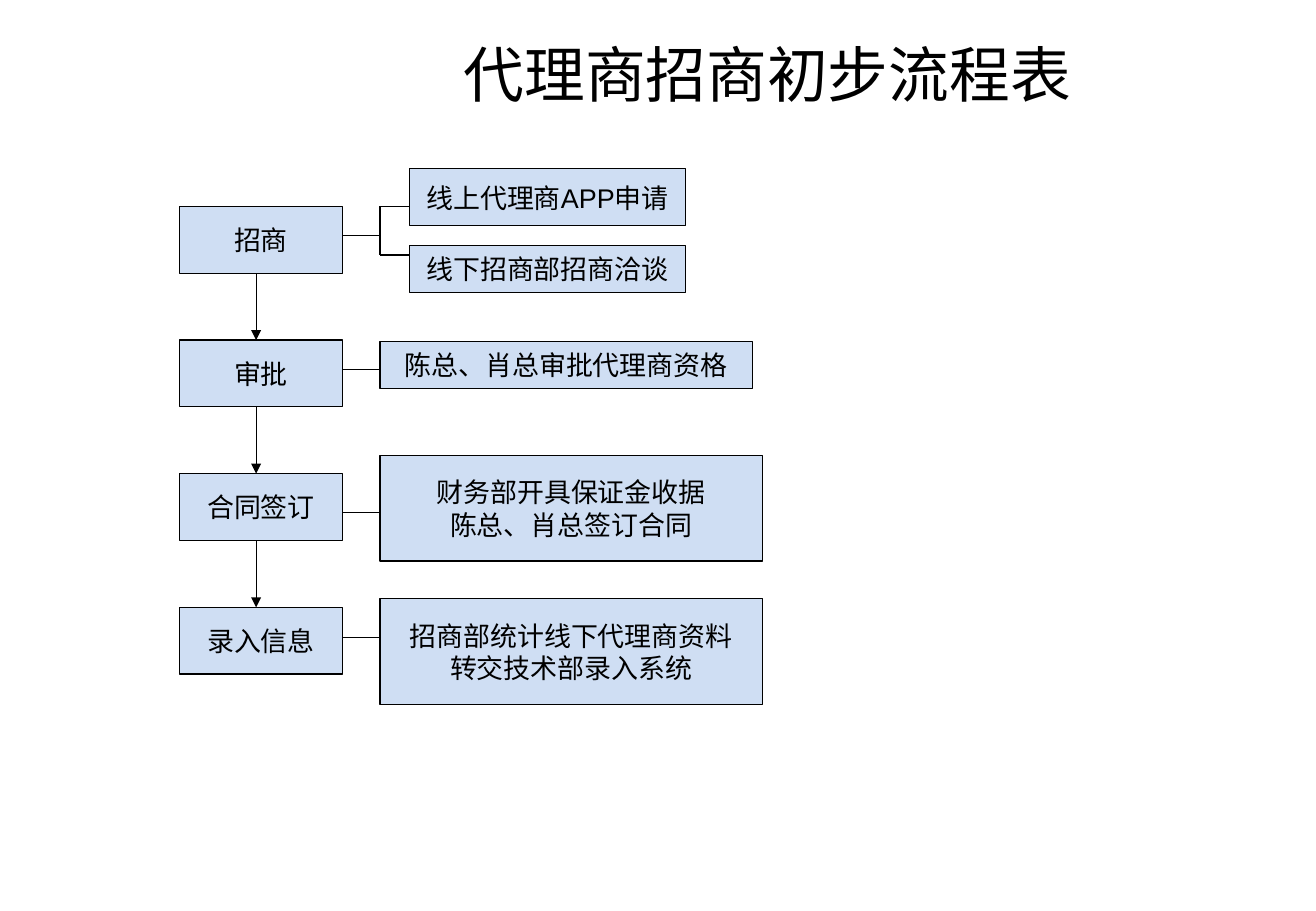
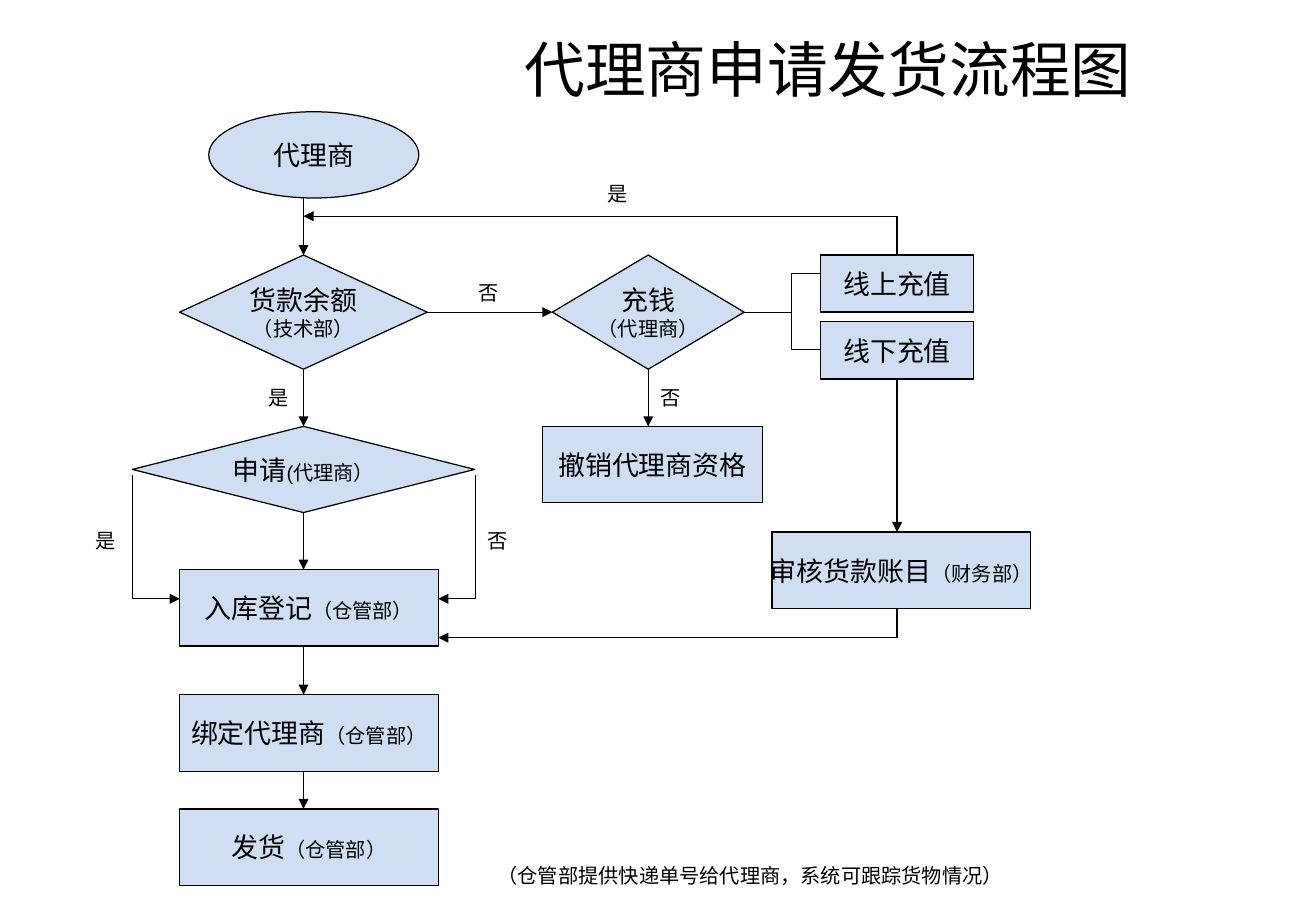
from lxml.etree import SubElement
from pptx import Presentation
from pptx.dml.color import RGBColor
from pptx.enum.shapes import MSO_CONNECTOR as CONNECTOR, MSO_SHAPE as SHAPE
from pptx.enum.text import MSO_ANCHOR as ANCHOR, MSO_AUTO_SIZE as FIT, PP_ALIGN as ALIGN
from pptx.oxml.ns import qn
from pptx.util import Inches, Pt

BLACK, PALE_BLUE = "000000", "CFDEF3"
FONT = "Arial"
TITLE, MAIN, NOTE = 36, 16, 12
TOP, LEFT, BOTTOM, RIGHT = range(4)
FRAME = {"margin_left": Inches(0.1), "margin_right": Inches(0.1),
         "margin_top": Inches(0.05), "margin_bottom": Inches(0.05)}
TITLE_FRAME = {**FRAME, "vertical_anchor": ANCHOR.MIDDLE, "word_wrap": True, "auto_size": FIT.NONE}
NODE_FRAME = {**FRAME, "vertical_anchor": ANCHOR.MIDDLE, "word_wrap": False}
LABEL_FRAME = {**FRAME, "vertical_anchor": ANCHOR.TOP, "word_wrap": True,
               "auto_size": FIT.SHAPE_TO_FIT_TEXT}


def paint(color_format, color):
    """Set a colour from a hex string."""
    color_format.rgb = RGBColor.from_string(color)


def apply(target, values):
    """Set each attribute named in a dict of format values."""
    for name, value in values.items():
        setattr(target, name, value)


def write(shape, paragraphs, frame_values, align):
    """Write paragraphs, each a list of (text, size) runs."""
    frame = shape.text_frame
    apply(frame, frame_values)
    for index, runs in enumerate(paragraphs):
        paragraph = frame.paragraphs[0] if index == 0 else frame.add_paragraph()
        paragraph.alignment = align
        for text, size in runs:
            run = paragraph.add_run()
            run.text = text
            apply(run.font, {"name": FONT, "size": Pt(size), "bold": False})
            paint(run.font.color, BLACK)


def add_titled_slide(presentation, text, top, height, indent):
    """Add a slide whose title is centred to the right of an indent."""
    slide = presentation.slides.add_slide(presentation.slide_layouts[5])
    title = slide.shapes.title
    apply(title, {"left": Inches(0.54), "top": Inches(top),
                  "width": Inches(9.75), "height": Inches(height)})
    write(title, [[(text, TITLE)]], {**TITLE_FRAME, "margin_left": Inches(indent)}, ALIGN.CENTER)
    return slide


def add_node(slide, box, *paragraphs, kind=SHAPE.RECTANGLE):
    """Add a flowchart node with centred text."""
    shape = slide.shapes.add_shape(kind, *map(Inches, box))
    shape.shadow.inherit = False
    shape.fill.solid()
    paint(shape.fill.fore_color, PALE_BLUE)
    paint(shape.line.color, BLACK)
    shape.line.width = Pt(0.75)
    write(shape, paragraphs, NODE_FRAME, ALIGN.CENTER)
    return shape


def add_label(slide, text, left, top, width):
    """Add a small free-standing label."""
    label = slide.shapes.add_textbox(*map(Inches, (left, top, width, 0.3)))
    write(label, [[(text, NOTE)]], LABEL_FRAME, ALIGN.LEFT)


def add_route(slide, *points, arrow=True, begin=None, end=None):
    """Join points by straight connectors, gluing the ends to (shape, site)."""
    connectors = []
    for start, stop in zip(points, points[1:]):
        connector = slide.shapes.add_connector(CONNECTOR.STRAIGHT, *map(Inches, (*start, *stop)))
        paint(connector.line.color, BLACK)
        connector.line.width = Pt(0.75)
        SubElement(connector._element.spPr, qn("a:effectLst"))
        connectors.append(connector)
    if arrow:
        line = connectors[-1].line._get_or_add_ln()
        SubElement(line, qn("a:tailEnd"), type="triangle")
    if begin:
        connectors[0].begin_connect(*begin)
    if end:
        connectors[-1].end_connect(*end)


def add_fork(slide, start, spine, tip, branches):
    """Add a line that splits at a spine into horizontal branches."""
    add_route(slide, start, (spine, start[1]), arrow=False)
    upper, lower = branches
    add_route(slide, (tip, upper), (spine, upper), (spine, lower), (tip, lower), arrow=False)


def build_recruitment(presentation):
    """Build the recruitment process slide."""
    slide = add_titled_slide(presentation, "代理商招商初步流程表", 0.21, 0.79, 1.91)
    first, pitch, height = 1.7, 1.1, 0.55
    steps = ["招商", "审批", "合同签订", "录入信息"]
    for index, step in enumerate(steps):
        top = first + index * pitch
        add_node(slide, (1.48, top, 1.34, height), [(step, MAIN)])
        if index < len(steps) - 1:
            add_route(slide, (2.11, top + height), (2.11, top + pitch))

    add_fork(slide, (2.82, 1.94), 3.13, 3.37, (1.7, 2.1))
    for y in (3.04, 4.22, 5.25):
        add_route(slide, (2.82, y), (3.13, y), arrow=False)

    details = [
        ((3.37, 1.39, 2.28, 0.47), ["线上代理商APP申请"]),
        ((3.37, 2.02, 2.28, 0.39), ["线下招商部招商洽谈"]),
        ((3.13, 2.81, 3.07, 0.39), ["陈总、肖总审批代理商资格"]),
        ((3.13, 3.75, 3.15, 0.87), ["财务部开具保证金收据", "陈总、肖总签订合同"]),
        ((3.13, 4.93, 3.15, 0.87), ["招商部统计线下代理商资料", "转交技术部录入系统"]),
    ]
    for box, lines in details:
        add_node(slide, box, *[[(line, MAIN)] for line in lines])


def build_delivery(presentation):
    """Build the delivery request flowchart slide."""
    slide = add_titled_slide(presentation, "代理商申请发货流程图", 0.3, 0.53, 2.91)
    trunk, top_up_x, account_x = 2.5, 5.34, 7.39

    add_node(slide, (1.72, 0.92, 1.73, 0.71), [("代理商", MAIN)], kind=SHAPE.OVAL)
    balance = add_node(slide, (1.48, 2.1, 2.04, 0.94), [("货款余额", MAIN)], [("（技术部）", NOTE)],
                       kind=SHAPE.FLOWCHART_DECISION)
    request = add_node(slide, (1.09, 3.51, 2.82, 0.71), [("申请", MAIN), ("(代理商）", NOTE)],
                       kind=SHAPE.DIAMOND)
    top_up = add_node(slide, (4.55, 2.1, 1.58, 0.94), [("充钱", MAIN)], [("（代理商）", NOTE)],
                      kind=SHAPE.DIAMOND)
    add_node(slide, (4.47, 3.51, 1.81, 0.63), [("撤销代理商资格", MAIN)])
    online, offline = [add_node(slide, (6.76, top, 1.26, 0.47), [(text, MAIN)])
                       for text, top in (("线上充值", 2.1), ("线下充值", 2.65))]
    for text, department, left, top in (
            ("入库登记", "（仓管部）", 1.48, 4.69), ("绑定代理商", "（仓管部）", 1.48, 5.72),
            ("发货", "（仓管部）", 1.48, 6.66), ("审核货款账目", "（财务部）", 6.36, 4.38)):
        add_node(slide, (left, top, 2.13, 0.63), [(text, MAIN), (department, NOTE)])

    add_route(slide, (trunk, 1.63), (trunk, 2.1), end=(balance, TOP))
    add_route(slide, (trunk, 3.04), (trunk, 3.51), begin=(balance, BOTTOM), end=(request, TOP))
    add_route(slide, (trunk, 4.22), (trunk, 4.69), begin=(request, BOTTOM))
    for start, stop in ((5.32, 5.72), (6.35, 6.66)):
        add_route(slide, (trunk, start), (trunk, stop))
    for outer, side in ((1.09, 1.48), (3.92, 3.61)):
        add_route(slide, (outer, 3.91), (outer, 4.93), (side, 4.93))

    add_route(slide, (3.52, 2.57), (4.55, 2.57), begin=(balance, RIGHT), end=(top_up, LEFT))
    add_route(slide, (top_up_x, 3.04), (top_up_x, 3.51), begin=(top_up, BOTTOM))
    add_fork(slide, (6.13, 2.57), 6.52, 6.76, (2.25, 2.88))
    add_route(slide, (account_x, 2.1), (account_x, 1.78), (trunk, 1.78), begin=(online, TOP))
    add_route(slide, (account_x, 3.12), (account_x, 4.38), begin=(offline, BOTTOM))
    add_route(slide, (account_x, 5.01), (account_x, 5.25), (3.61, 5.25))

    for label in (("是", 4.91, 1.44, 0.36), ("否", 3.84, 2.26, 0.37), ("否", 5.34, 3.12, 0.37),
                  ("是", 2.11, 3.12, 0.61), ("是", 0.69, 4.3, 0.47), ("否", 3.92, 4.3, 0.39),
                  ("（仓管部提供快递单号给代理商，系统可跟踪货物情况）", 4, 7.06, 4.49)):
        add_label(slide, *label)


def main():
    """Build and save the presentation."""
    presentation = Presentation()
    apply(presentation, {"slide_width": Inches(10.84), "slide_height": Inches(7.5)})
    build_recruitment(presentation)
    build_delivery(presentation)
    presentation.save("out.pptx")


if __name__ == "__main__":
    main()
